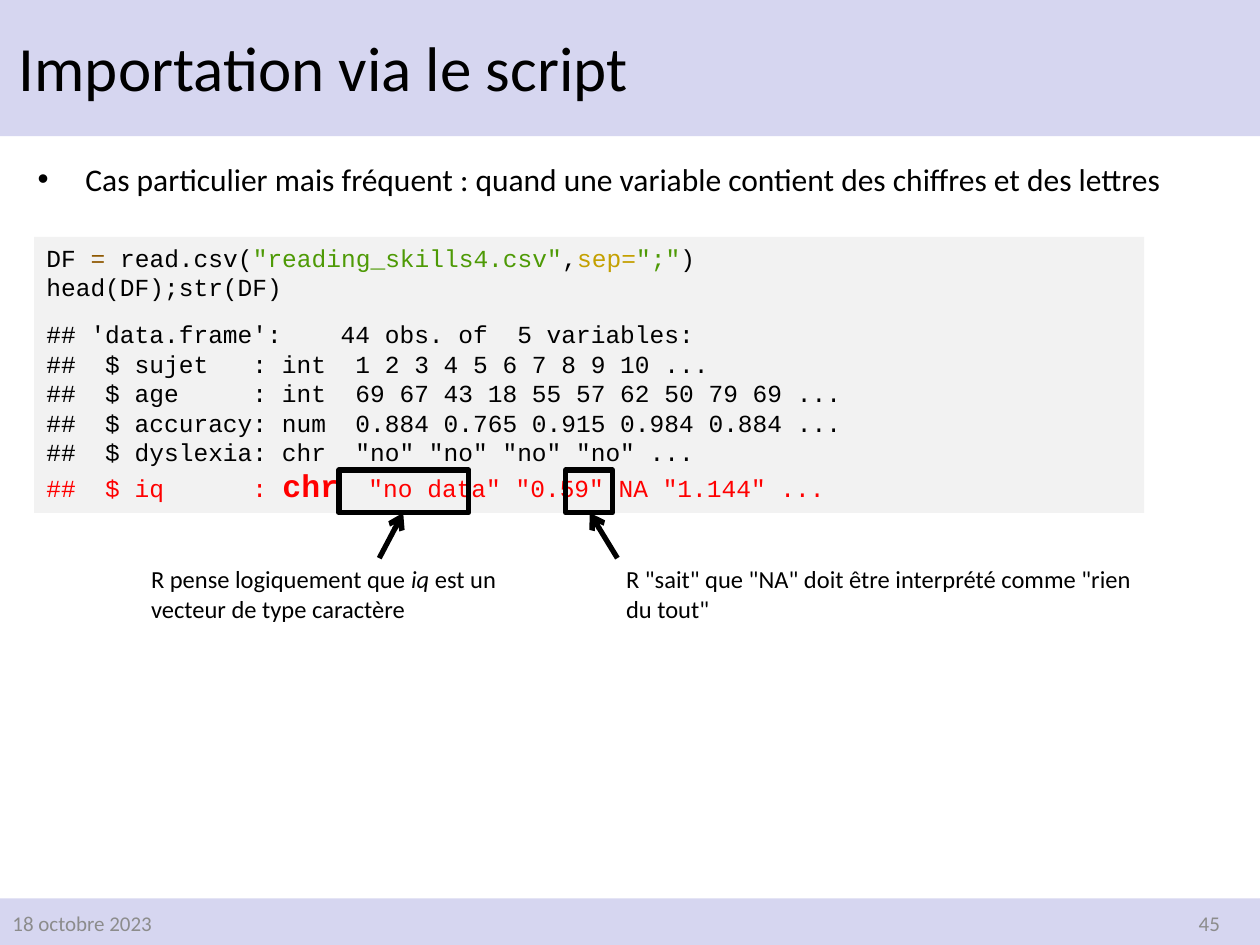
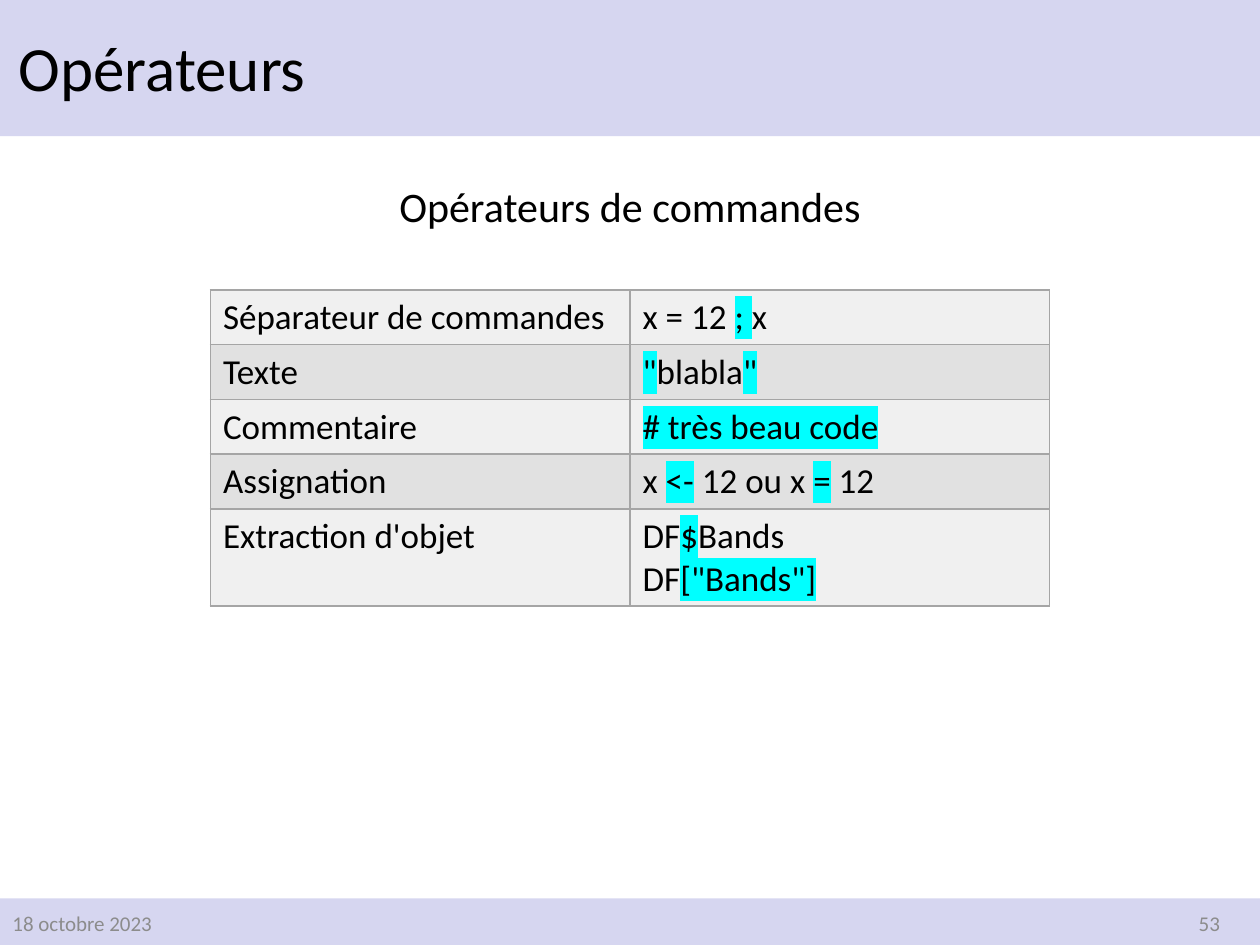
from lxml import etree
from pptx import Presentation
from pptx.dml.color import RGBColor
from pptx.enum.shapes import MSO_CONNECTOR, MSO_SHAPE
from pptx.enum.text import MSO_ANCHOR, PP_ALIGN
from pptx.oxml.ns import qn
from pptx.util import Inches, Pt

RECTANGLE = MSO_SHAPE.RECTANGLE
STRAIGHT = MSO_CONNECTOR.STRAIGHT
TOP, MIDDLE = MSO_ANCHOR.TOP, MSO_ANCHOR.MIDDLE
LEFT, CENTER, RIGHT = PP_ALIGN.LEFT, PP_ALIGN.CENTER, PP_ALIGN.RIGHT

BODY_FONT, CODE_FONT = "Calibri", "Courier New"
BLACK, RED, GREY = "000000", "FF0000", "8C8C8C"
BAND, CODE_FILL = "D6D6F0", "F2F2F2"
STRING, OPERATOR, ARGUMENT = "4E9A06", "8F5902", "C4A000"
ROW_FILLS, BORDER, HIGHLIGHT = ("F0F0F0", "E1E1E1"), "A5A5A5", "00FFFF"
DATE = "18 octobre 2023"


def rgb(color):
    return RGBColor.from_string(color)


def place(shape, left, top, width, height):
    shape.left, shape.top = Inches(left), Inches(top)
    shape.width, shape.height = Inches(width), Inches(height)


def add_color(parent, tag, color):
    element = etree.SubElement(parent, qn(tag))
    etree.SubElement(element, qn("a:srgbClr")).set("val", color)
    return element


def add_run(paragraph, text, size, font=BODY_FONT, color=BLACK,
            bold=False, italic=False, highlight=None):
    """Add text, turning each newline into a line break."""
    for index, line in enumerate(text.split("\n")):
        if index:
            paragraph.add_line_break()
        if not line:
            continue
        run = paragraph.add_run()
        run.text = line
        run.font.size, run.font.name = Pt(size), font
        run.font.bold, run.font.italic = bold, italic
        run.font.color.rgb = rgb(color)
        if highlight:
            properties = run.font._element
            mark = add_color(properties, "a:highlight", highlight)
            properties.find(qn("a:solidFill")).addnext(mark)


def add_text(slide, box, runs, size, align=LEFT, anchor=TOP, line_spacing=None):
    """Add a text box; runs are (text, options) pairs."""
    frame = slide.shapes.add_textbox(*map(Inches, box)).text_frame
    frame.word_wrap, frame.vertical_anchor = True, anchor
    paragraph = frame.paragraphs[0]
    paragraph.alignment = align
    if line_spacing:
        paragraph.line_spacing = line_spacing
    for text, options in runs:
        add_run(paragraph, text, size, **options)
    return paragraph


def add_rectangle(slide, box, fill=None, line=None):
    shape = slide.shapes.add_shape(RECTANGLE, *map(Inches, box))
    shape.shadow.inherit = False
    if fill:
        shape.fill.solid()
        shape.fill.fore_color.rgb = rgb(fill)
    else:
        shape.fill.background()
    if line:
        shape.line.color.rgb = rgb(line)
        shape.line.width = Pt(3)
    else:
        shape.line.fill.background()
    return shape


def add_arrow(slide, start, end):
    arrow = slide.shapes.add_connector(STRAIGHT, *map(Inches, start + end))
    arrow.line.color.rgb = rgb(BLACK)
    arrow.line.width = Pt(3)
    line = arrow.line._get_or_add_ln()
    etree.SubElement(line, qn("a:tailEnd")).set("type", "arrow")
    etree.SubElement(arrow.element.spPr, qn("a:effectLst"))


def add_bullet(paragraph, indent):
    properties = paragraph._p.get_or_add_pPr()
    properties.set("marL", str(Inches(indent)))
    properties.set("indent", str(-Inches(indent)))
    etree.SubElement(properties, qn("a:buFont")).set("typeface", "Arial")
    etree.SubElement(properties, qn("a:buChar")).set("char", "•")


def add_code(slide, box, paragraphs):
    frame = add_rectangle(slide, box, fill=CODE_FILL).text_frame
    frame.word_wrap, frame.vertical_anchor = True, TOP
    for index, runs in enumerate(paragraphs):
        paragraph = frame.add_paragraph() if index else frame.paragraphs[0]
        paragraph.alignment = LEFT
        paragraph.space_after = Pt(10)
        for text, color, size in runs:
            add_run(paragraph, text, size, CODE_FONT, color, bold=size > 14)


def style_cell(cell, fill):
    cell.fill.solid()
    cell.fill.fore_color.rgb = rgb(fill)
    properties = cell._tc.get_or_add_tcPr()
    for index, side in enumerate(("a:lnL", "a:lnR", "a:lnT", "a:lnB")):
        border = etree.Element(qn(side), w=str(Pt(1)))
        add_color(border, "a:solidFill", BORDER)
        properties.insert(index, border)


def add_operator_table(slide, left, top, rows):
    """Rows are (label, lines); each line is a list of (text, is marked)."""
    column_width, padding, line_height = 3.33, 0.1, 0.335
    heights = [padding + line_height * len(lines) for _, lines in rows]
    table = slide.shapes.add_table(
        len(rows), 2, Inches(left), Inches(top),
        Inches(2 * column_width), Inches(sum(heights))).table
    table.first_row = table.horz_banding = False
    for column in table.columns:
        column.width = Inches(column_width)
    for row_index, (label, lines) in enumerate(rows):
        table.rows[row_index].height = Inches(heights[row_index])
        for column_index, content in enumerate(([[(label, False)]], lines)):
            cell = table.cell(row_index, column_index)
            style_cell(cell, ROW_FILLS[row_index % 2])
            frame = cell.text_frame
            for index, runs in enumerate(content):
                paragraph = frame.add_paragraph() if index else frame.paragraphs[0]
                for text, marked in runs:
                    add_run(paragraph, text, 20,
                            highlight=HIGHLIGHT if marked else None)


def add_bands(slide):
    """Move the two bands to the layout, behind everything else."""
    tree = slide.slide_layout.shapes.element
    for box in ((0, 0, 10, 1.08), (0, 7.13, 10, 0.37)):
        tree.insert(2, add_rectangle(slide, box, fill=BAND).element)


def add_slide(presentation, title, number):
    slide = presentation.slides.add_slide(presentation.slide_layouts[5])
    place(slide.shapes.title, 0.05, 0.07, 7.33, 0.99)
    frame = slide.shapes.title.text_frame
    frame.word_wrap, frame.vertical_anchor = True, MIDDLE
    paragraph = frame.paragraphs[0]
    paragraph.alignment, paragraph.line_spacing = LEFT, 0.9
    add_run(paragraph, title, 36)
    for left, text, align in ((0, DATE, LEFT), (7.53, str(number), RIGHT)):
        add_text(slide, (left, 7.13, 2.25, 0.4), [(text, {"color": GREY})],
                 12, align, MIDDLE)
    return slide


def build_import_slide(presentation):
    slide = add_slide(presentation, "Importation via le script", 45)
    add_bands(slide)
    intro = ("Cas particulier mais fréquent : quand une variable contient "
             "des chiffres et des lettres")
    add_bullet(add_text(slide, (0.2, 1.22, 9.4, 0.4), [(intro, {})], 18), 0.38)

    # Code and its output
    command = [
        ("DF ", BLACK, 14), ("= ", OPERATOR, 14), ("read.csv(", BLACK, 14),
        ('"reading_skills4.csv"', STRING, 14), (",", BLACK, 14),
        ("sep=", ARGUMENT, 14), ('";"', STRING, 14),
        (")\nhead(DF);str(DF)", BLACK, 14),
    ]
    structure = """## 'data.frame':    44 obs. of  5 variables:
##  $ sujet   : int  1 2 3 4 5 6 7 8 9 10 ...
##  $ age     : int  69 67 43 18 55 57 62 50 79 69 ...
##  $ accuracy: num  0.884 0.765 0.915 0.984 0.884 ...
##  $ dyslexia: chr  "no" "no" "no" "no" ...
"""
    output = [
        (structure, BLACK, 14), ("##  $ iq      : ", RED, 14),
        ("chr", RED, 18), ('  "no data" "0.59" NA "1.144" ...', RED, 14),
    ]
    add_code(slide, (0.27, 1.88, 8.81, 2.19), [command, output])

    # Frames, arrows and explanations
    type_note = [("R pense logiquement que ", {}), ("iq", {"italic": True}),
                 (" est un vecteur de type caractère", {})]
    missing_note = [
        ('R "sait" que "NA" doit être interprété comme "rien du tout"', {})]
    frame_top, frame_bottom, note_top = 3.73, 4.07, 4.43
    for frame_left, frame_width, start, end, note_left, note_width, note in (
            (2.69, 1.03, 3.01, 3.2, 1.1, 3.18, type_note),
            (4.49, 0.37, 4.9, 4.68, 4.87, 4.42, missing_note)):
        add_rectangle(slide, (frame_left, frame_top, frame_width,
                              frame_bottom - frame_top), line=BLACK)
        add_arrow(slide, (start, note_top), (end, frame_bottom))
        add_text(slide, (note_left, note_top, note_width, 0.57), note, 14)


def build_operator_slide(presentation):
    slide = add_slide(presentation, "Opérateurs", 53)
    add_text(slide, (0, 1.18, 10, 0.64), [("Opérateurs de commandes", {})],
             24, CENTER, line_spacing=1.5)
    add_operator_table(slide, 1.67, 2.3, [
        ("Séparateur de commandes",
         [[("x = 12 ", False), ("; ", True), ("x", False)]]),
        ("Texte", [[('"', True), ("blabla", False), ('"', True)]]),
        ("Commentaire", [[("# très beau code", True)]]),
        ("Assignation", [[("x ", False), ("<-", True), (" 12 ou x ", False),
                          ("=", True), (" 12", False)]]),
        ("Extraction d'objet",
         [[("DF", False), ("$", True), ("Bands", False)],
          [("DF", False), ('["Bands"]', True)]]),
    ])


def main():
    presentation = Presentation()
    presentation.slide_width = Inches(10)
    presentation.slide_height = Inches(7.5)
    build_import_slide(presentation)
    build_operator_slide(presentation)
    presentation.save("out.pptx")


if __name__ == "__main__":
    main()
